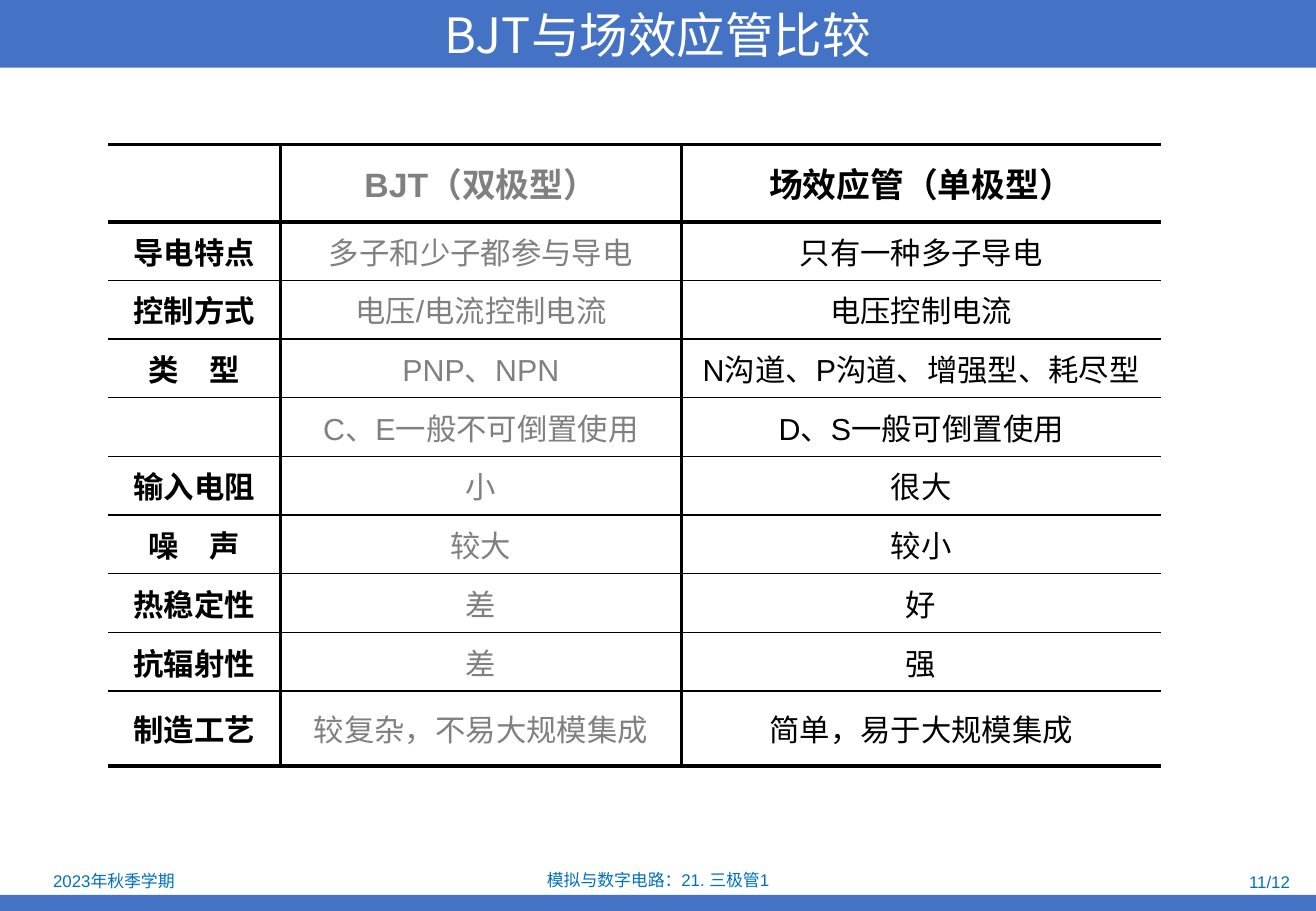
import dataclasses

import lxml.etree
import pptx
import pptx.dml.color
import pptx.enum.shapes
import pptx.enum.text
import pptx.oxml
import pptx.oxml.ns
import pptx.util

ALIGN = pptx.enum.text.PP_ALIGN
MIDDLE = pptx.enum.text.MSO_ANCHOR.MIDDLE


@dataclasses.dataclass(frozen=True)
class Theme:
    bar: str = "4472C4"
    footer: str = "0070C0"
    white: str = "FFFFFF"
    ink: str = "000000"
    muted: str = "808080"
    latin: str = "Arial"
    chinese: str = "Noto Sans CJK SC"
    title_size: float = 28.8
    header_size: float = 20
    body_size: float = 18
    footer_size: float = 10
    thick: float = 2.25
    thin: float = 1


class SlideBuilder:
    """Draws themed elements on one slide, with lengths in px at 120 px to the inch."""

    SCALE = 7620

    def __init__(self, presentation, theme):
        self.theme = theme
        self.slide = presentation.slides.add_slide(presentation.slide_layouts[6])

    def px(self, *lengths):
        return [pptx.util.Emu(length * self.SCALE) for length in lengths]

    def set_text(self, text_frame, text, size, color, align=ALIGN.CENTER, bold=False, latin=None):
        text_frame.text = text
        paragraph = text_frame.paragraphs[0]
        paragraph.alignment = align
        for run in paragraph.runs:
            run.font.size = pptx.util.Pt(size)
            run.font.bold = bold
            run.font.name = latin or self.theme.latin
            run.font.color.rgb = pptx.dml.color.RGBColor.from_string(color)
            east_asian = lxml.etree.SubElement(run.font._element, pptx.oxml.ns.qn("a:ea"))
            east_asian.set("typeface", self.theme.chinese)

    def bar(self, top, height):
        shape = self.slide.shapes.add_shape(
            pptx.enum.shapes.MSO_SHAPE.RECTANGLE, *self.px(0, top, 1300, height))
        shape.shadow.inherit = False
        shape.fill.solid()
        shape.fill.fore_color.rgb = pptx.dml.color.RGBColor.from_string(self.theme.bar)
        shape.line.fill.background()
        return shape

    def title(self, text, height):
        text_frame = self.bar(0, height).text_frame
        text_frame.vertical_anchor = MIDDLE
        text_frame.margin_top = text_frame.margin_bottom = 0
        self.set_text(text_frame, text, self.theme.title_size, self.theme.white,
                      latin=self.theme.chinese)

    def footer(self, text, left, top, width, height, align=ALIGN.CENTER):
        text_frame = self.slide.shapes.add_textbox(*self.px(left, top, width, height)).text_frame
        text_frame.word_wrap = True
        text_frame.vertical_anchor = MIDDLE
        text_frame.margin_top = text_frame.margin_bottom = 0
        self.set_text(text_frame, text, self.theme.footer_size, self.theme.footer, align)

    def borders(self, cell, widths):
        properties = cell._tc.get_or_add_tcPr()
        for side, width in zip("LRTB", widths):
            line = lxml.etree.SubElement(properties, pptx.oxml.ns.qn(f"a:ln{side}"))
            if width:
                line.set("w", str(int(pptx.util.Pt(width))))
                fill = lxml.etree.SubElement(line, pptx.oxml.ns.qn("a:solidFill"))
                color = lxml.etree.SubElement(fill, pptx.oxml.ns.qn("a:srgbClr"))
                color.set("val", self.theme.ink)
            else:
                lxml.etree.SubElement(line, pptx.oxml.ns.qn("a:noFill"))
        cell.fill.background()

    def table(self, rows, left, top, widths, heights):
        theme = self.theme
        table = self.slide.shapes.add_table(
            len(rows), len(widths), *self.px(left, top, sum(widths), sum(heights))).table
        table.first_row = table.horz_banding = False
        for column, width in zip(table.columns, self.px(*widths)):
            column.width = width
        for row, height in zip(table.rows, self.px(*heights)):
            row.height = height
        vertical = [0] + [theme.thick] * (len(widths) - 1) + [0]
        horizontal = [theme.thick] + [theme.thin] * (len(rows) - 1) + [theme.thick]
        for r, texts in enumerate(rows):
            for c, text in enumerate(texts):
                cell = table.cell(r, c)
                cell.margin_left = cell.margin_right = cell.margin_top = cell.margin_bottom = 0
                cell.vertical_anchor = MIDDLE
                self.set_text(cell.text_frame, text,
                              theme.header_size if r == 0 else theme.body_size,
                              theme.muted if c == 1 else theme.ink,
                              bold=r == 0 or c == 0)
                self.borders(cell, vertical[c:c + 2] + horizontal[r:r + 2])

    def rule(self, left, top, width):
        connector = self.slide.shapes.add_connector(
            pptx.enum.shapes.MSO_CONNECTOR.STRAIGHT, *self.px(left, top, left + width, top))
        connector.line.width = pptx.util.Pt(self.theme.thick)
        connector.line.color.rgb = pptx.dml.color.RGBColor.from_string(self.theme.ink)
        lxml.etree.SubElement(connector._element.spPr, pptx.oxml.ns.qn("a:effectLst"))


COMPARISON = [
    ("", "BJT（双极型）", "场效应管（单极型）"),
    ("导电特点", "多子和少子都参与导电", "只有一种多子导电"),
    ("控制方式", "电压/电流控制电流", "电压控制电流"),
    ("类　型", "PNP、NPN", "N沟道、P沟道、增强型、耗尽型"),
    ("", "C、E一般不可倒置使用", "D、S一般可倒置使用"),
    ("输入电阻", "小", "很大"),
    ("噪　声", "较大", "较小"),
    ("热稳定性", "差", "好"),
    ("抗辐射性", "差", "强"),
    ("制造工艺", "较复杂，不易大规模集成", "简单，易于大规模集成"),
]


def main():
    presentation = pptx.Presentation()
    presentation.slide_width = pptx.util.Emu(1300 * SlideBuilder.SCALE)
    presentation.slide_height = pptx.util.Emu(900 * SlideBuilder.SCALE)
    builder = SlideBuilder(presentation, Theme())

    builder.bar(884, 16)
    builder.footer("2023年秋季学期", 2, 856, 221, 28)
    builder.title("BJT与场效应管比较", 67)
    builder.footer("模拟与数字电路：21. 三极管1", 444, 857, 412, 25)
    builder.footer("11/12", 982, 859, 304, 25, ALIGN.RIGHT)

    left, top, widths = 107, 143, [170, 396, 474]
    heights = [76] + [58] * 8 + [74]
    builder.table(COMPARISON, left, top, widths, heights)
    builder.rule(left, top + heights[0], sum(widths))

    presentation.save("out.pptx")


if __name__ == "__main__":
    main()
